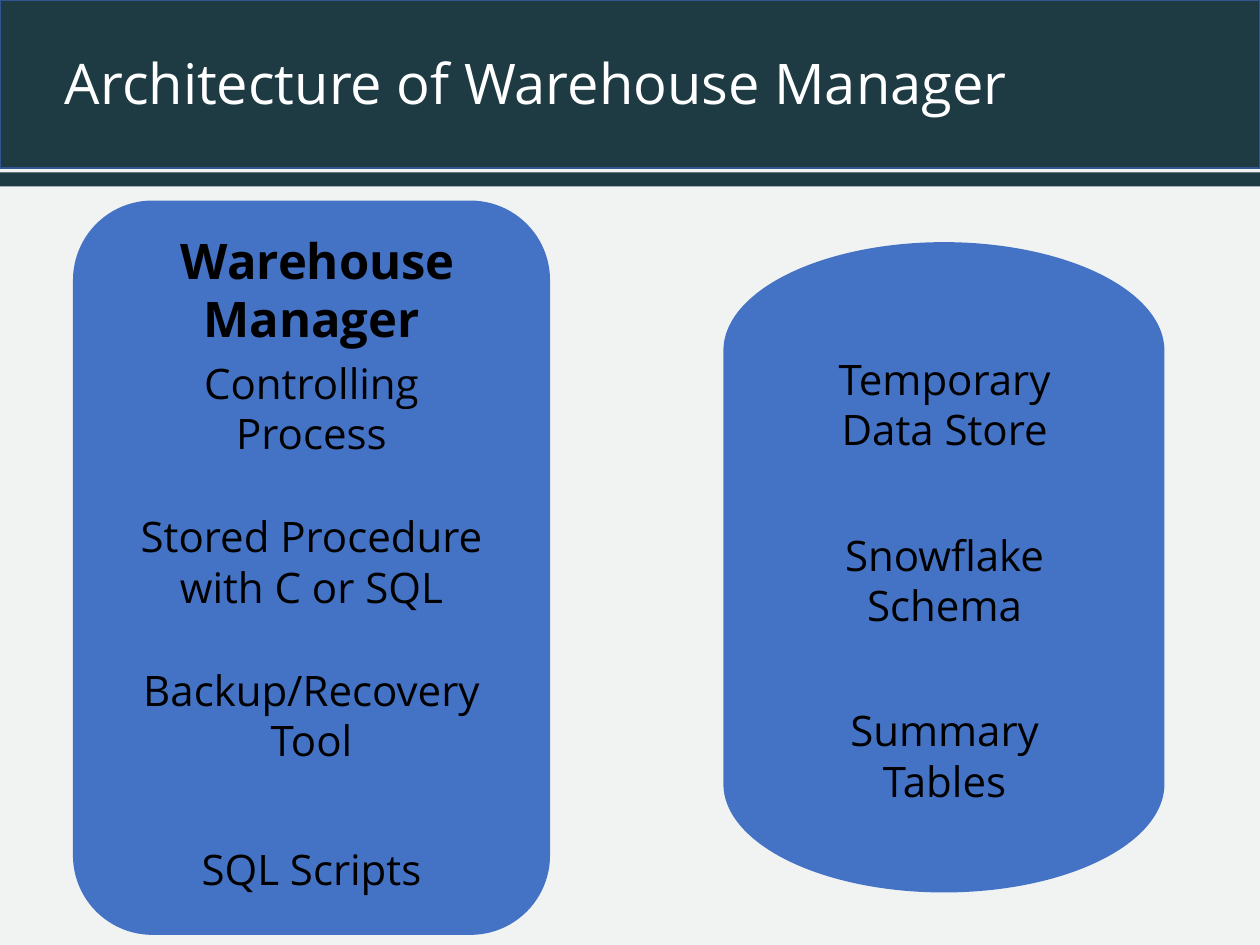
import pptx
import pptx.dml.color
import pptx.enum.shapes
import pptx.enum.text
import pptx.util

Pt = pptx.util.Pt
SHAPE = pptx.enum.shapes.MSO_SHAPE
ALIGN = pptx.enum.text.PP_ALIGN
ANCHOR = pptx.enum.text.MSO_ANCHOR

COLORS = {
    "background": "F1F3F3",
    "band": "1E3A42",
    "band_line": "325491",
    "block": "4472C4",
    "text": "000000",
    "title": "FFFFFF",
}
FONT = "Open Sans"
PROCESSES = [
    "Controlling Process",
    "Stored Procedure with C or SQL",
    "Backup/Recovery\nTool",
    "SQL Scripts",
]
STORES = ["Temporary Data Store", "Snowflake Schema", "Summary Tables"]


def color(name):
    return pptx.dml.color.RGBColor.from_string(COLORS[name])


def write_text(shape, text, *, size=24, bold=False, fill="text",
               align=ALIGN.CENTER, anchor=ANCHOR.MIDDLE, spacing=None):
    frame = shape.text_frame
    frame.word_wrap = True
    frame.vertical_anchor = anchor
    paragraph = frame.paragraphs[0]
    paragraph.text = text
    paragraph.alignment = align
    paragraph.line_spacing = spacing
    for run in paragraph.runs:
        run.font.name = FONT
        run.font.size = Pt(size)
        run.font.bold = bold
        run.font.color.rgb = color(fill)


def add_block(shapes, kind, left, top, width, height, fill="block", line=None):
    shape = shapes.add_shape(kind, Pt(left), Pt(top), Pt(width), Pt(height))
    shape.shadow.inherit = False
    shape.fill.solid()
    shape.fill.fore_color.rgb = color(fill)
    if line:
        shape.line.color.rgb = color(line)
        shape.line.width = Pt(1)
    else:
        shape.line.fill.background()
    return shape


def add_column(shapes, kind, texts, left, top, width, height, pitch):
    """Stack equal labelled blocks at a constant vertical pitch."""
    for index, text in enumerate(texts):
        block = add_block(shapes, kind, left, top + index * pitch, width, height)
        write_text(block, text)


def add_header(slide):
    add_block(slide.shapes, SHAPE.RECTANGLE, 0, 0, 720, 96, "band", "band_line")
    add_block(slide.shapes, SHAPE.RECTANGLE, 0, 98.5, 720, 8, "band")
    title = slide.shapes.add_textbox(Pt(30), Pt(1.5), Pt(690), Pt(96))
    write_text(title, "Architecture of Warehouse Manager", size=32,
               fill="title", align=ALIGN.LEFT, spacing=0.9)


def add_manager(slide):
    shapes = slide.shapes.add_group_shape().shapes
    panel = add_block(shapes, SHAPE.ROUNDED_RECTANGLE, 41.7, 114.6, 272.6, 419.6)
    write_text(panel, " Warehouse Manager", size=28, bold=True, anchor=ANCHOR.TOP)
    add_column(shapes, SHAPE.RECTANGLE, PROCESSES, 68.5, 200.2, 219, 65.5, 87.8)


def add_data_store(slide):
    shapes = slide.shapes.add_group_shape().shapes
    disk = SHAPE.FLOWCHART_MAGNETIC_DISK
    add_block(shapes, disk, 413.4, 138.4, 252, 371.6)
    add_column(shapes, disk, STORES, 458.5, 180.8, 162.5, 85.6, 100.4)


def main():
    presentation = pptx.Presentation()
    presentation.slide_width = Pt(720)
    presentation.slide_height = Pt(540)
    slide = presentation.slides.add_slide(presentation.slide_layouts[6])
    slide.background.fill.solid()
    slide.background.fill.fore_color.rgb = color("background")
    add_header(slide)
    add_manager(slide)
    add_data_store(slide)
    presentation.save("out.pptx")


if __name__ == "__main__":
    main()
